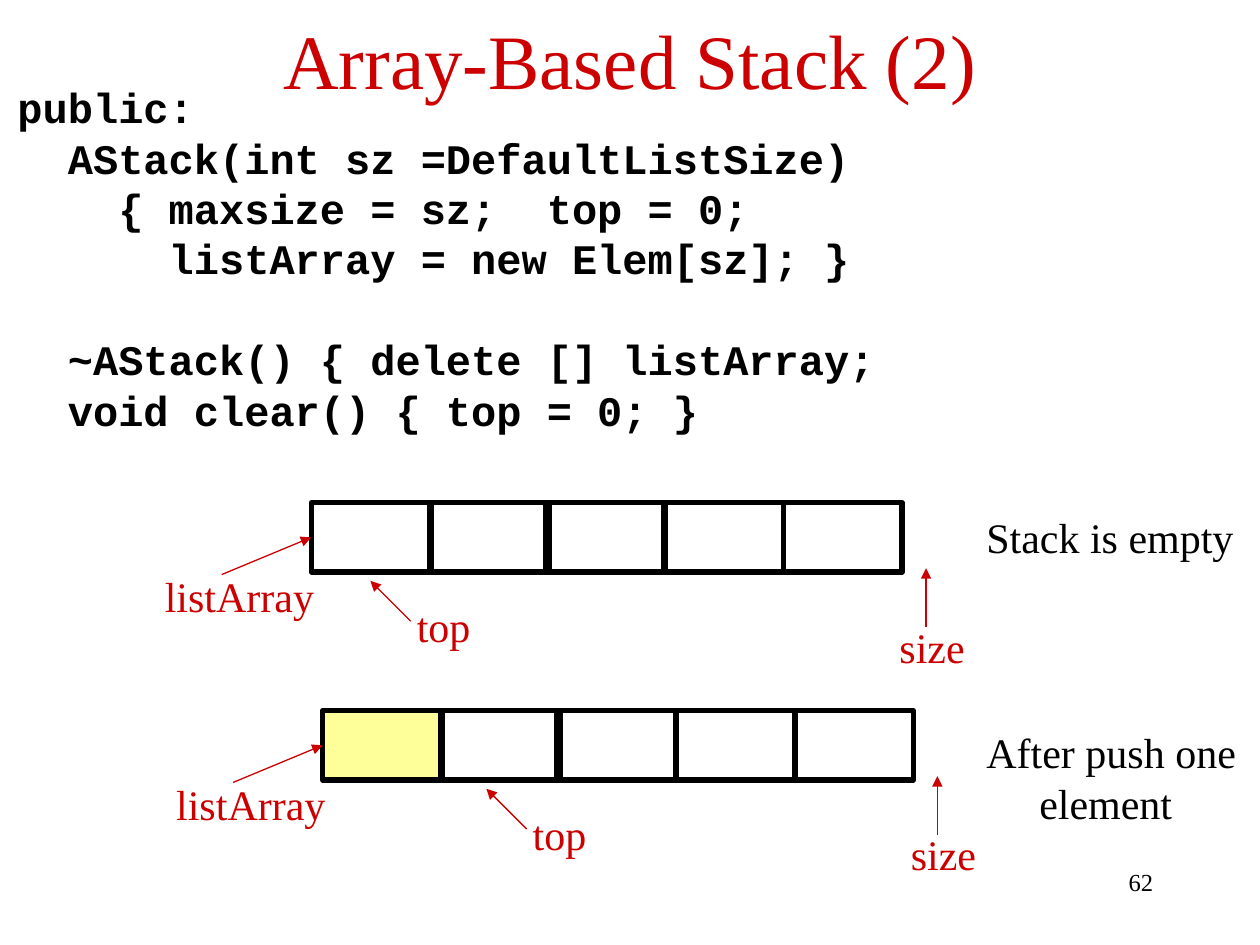
from dataclasses import dataclass

from lxml import etree
from pptx import Presentation
from pptx.dml.color import RGBColor
from pptx.enum.shapes import MSO_CONNECTOR as CONN, MSO_SHAPE as SHAPE
from pptx.enum.text import MSO_ANCHOR as ANCHOR, PP_ALIGN as ALIGN
from pptx.oxml.ns import qn
from pptx.util import Inches, Pt


@dataclass(frozen=True)
class Theme:
    red: RGBColor = RGBColor(0xCC, 0x00, 0x00)
    black: RGBColor = RGBColor(0x00, 0x00, 0x00)
    yellow: RGBColor = RGBColor(0xFF, 0xFF, 0x99)
    serif: str = "Times New Roman"
    mono: str = "Courier New"
    title: int = 44
    body: int = 24
    number: int = 14
    code_gap: float = 28.8
    cell_line: float = 3
    arrow_line: float = 0.75


CODE = [
    "public:",
    "  AStack(int sz =DefaultListSize)",
    "    { maxsize = sz;  top = 0;",
    "      listArray = new Elem[sz]; }",
    "  ~AStack() { delete [] listArray;",
    "  void clear() { top = 0; }",
]
CODE_BREAK = 4  # the destructor starts a new group
CELL_OFFSETS = [0, 0.95, 1.86, 2.81, 3.75]
CELL_W, CELL_H = 0.94, 0.55


class SlideBuilder:
    def __init__(self, slide, theme):
        self.s, self.th = slide, theme

    def text(self, x, y, w, h, lines, color=None, size=None, font=None,
             bold=False, align=None, anchor=ANCHOR.TOP, wrap=True):
        box = self.s.shapes.add_textbox(Inches(x), Inches(y), Inches(w), Inches(h))
        tf = box.text_frame
        tf.word_wrap, tf.vertical_anchor = wrap, anchor
        for i, line in enumerate(lines):
            p = tf.paragraphs[0] if i == 0 else tf.add_paragraph()
            p.add_run().text = line
            p.alignment = align
            p.font.name = font or self.th.serif
            p.font.size = Pt(size or self.th.body)
            p.font.bold = bold
            p.font.color.rgb = color or self.th.black
        return tf

    def label(self, x, y, w, name):
        self.text(x, y, w, 0.5, [name], color=self.th.red, wrap=False)

    def cell(self, x, y, fill=None):
        sp = self.s.shapes.add_shape(SHAPE.RECTANGLE, Inches(x), Inches(y),
                                     Inches(CELL_W), Inches(CELL_H))
        sp.shadow.inherit = False
        if fill is None:
            sp.fill.background()
        else:
            sp.fill.solid()
            sp.fill.fore_color.rgb = fill
        sp.line.color.rgb = self.th.black
        sp.line.width = Pt(self.th.cell_line)
        return sp

    def arrow(self, x1, y1, x2, y2):
        c = self.s.shapes.add_connector(CONN.STRAIGHT, Inches(x1), Inches(y1),
                                        Inches(x2), Inches(y2))
        c.line.color.rgb = self.th.red
        c.line.width = Pt(self.th.arrow_line)
        etree.SubElement(c.line._get_or_add_ln(), qn("a:tailEnd"), type="triangle")
        etree.SubElement(c._element.spPr, qn("a:effectLst"))
        return c

    def stack(self, x, y, top_x, filled=0):
        """Draw the array at x, y with its pointers; top_x shifts the top pointer."""
        cells = [self.cell(x + dx, y, self.th.yellow if i < filled else None)
                 for i, dx in enumerate(CELL_OFFSETS)]
        self.arrow(x + top_x + 0.79, y + 0.94, x + top_x + 0.47, y + 0.62)
        self.label(x + top_x + 0.74, y + 0.73, 0.63, "top")
        self.label(x - 1.26, y + 0.49, 1.39, "listArray")
        pointer = self.arrow(x - 0.71, y + 0.57, x, y + CELL_H / 2)
        pointer.end_connect(cells[0], 1)
        self.label(x + 4.57, y + 0.89, 0.72, "size")
        self.arrow(x + 4.88, y + 0.99, x + 4.88, y + 0.52)


def main():
    prs = Presentation()
    prs.slide_width, prs.slide_height = Inches(10), Inches(7.5)
    th = Theme()
    b = SlideBuilder(prs.slides.add_slide(prs.slide_layouts[6]), th)

    code = b.text(0.04, 0.6, 10, 2.93, CODE, font=th.mono, bold=True)
    code.paragraphs[CODE_BREAK].space_before = Pt(th.code_gap)
    b.text(0.5, -0.03, 9, 1, ["Array-Based Stack (2)"], color=th.red,
           size=th.title, align=ALIGN.CENTER, anchor=ANCHOR.MIDDLE)

    b.stack(2.47, 3.99, top_x=0)
    b.stack(2.56, 5.64, top_x=0.83, filled=1)

    b.text(7.73, 4.01, 2.16, 0.5, ["Stack is empty"], wrap=False)
    after = b.text(7.73, 5.72, 2.27, 0.9, ["After push one", "element"], wrap=False)
    after.paragraphs[1]._p.get_or_add_pPr().set("marL", str(Inches(0.42)))
    b.text(7.17, 6.83, 2.08, 0.5, ["62"], size=th.number, align=ALIGN.RIGHT)

    prs.save("out.pptx")


if __name__ == "__main__":
    main()
